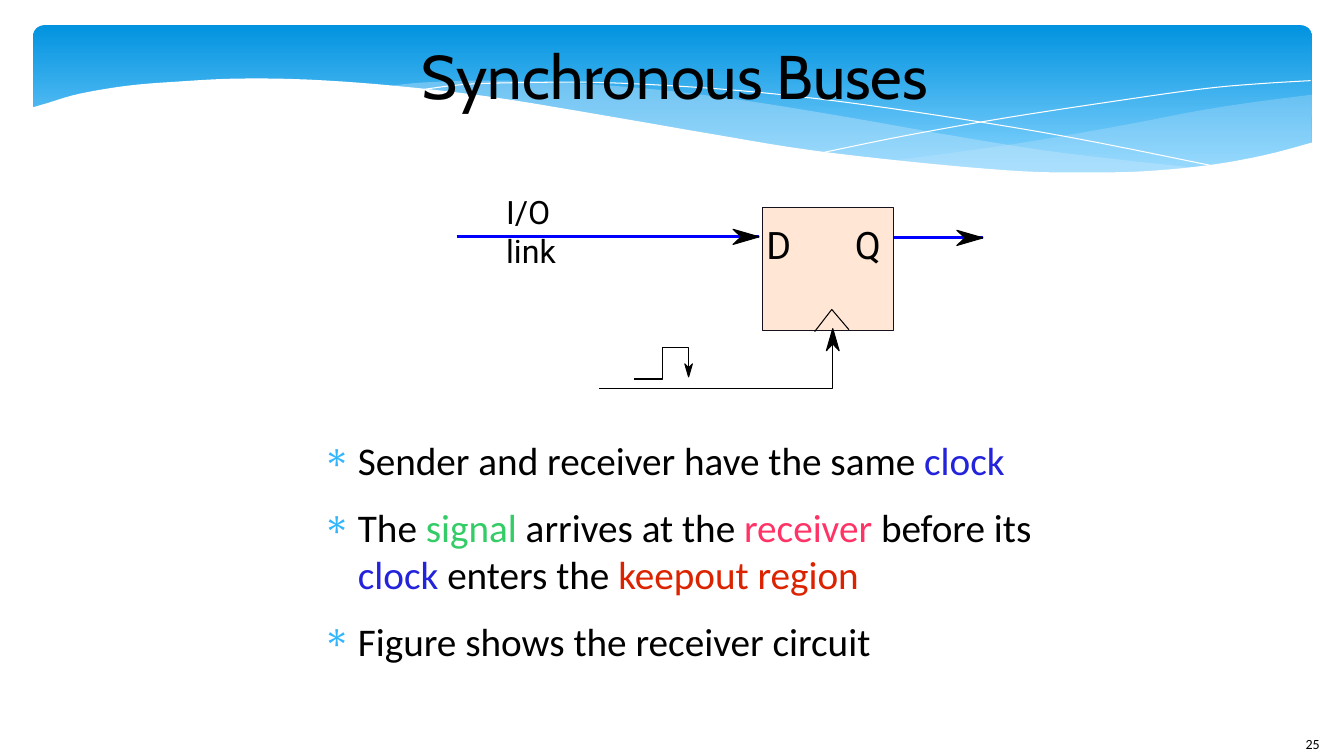
from pptx import Presentation
from pptx import util as u
from pptx.dml.color import RGBColor
from pptx.enum import shapes, text
from pptx.oxml import ns, xmlchemy

BLACK = RGBColor(0, 0, 0)
WHITE = RGBColor(255, 255, 255)
SKY_DARK = RGBColor(0x02, 0x93, 0xE0)
SKY_LIGHT = RGBColor(0x83, 0xD3, 0xFE)
MIST = RGBColor(0xC6, 0xE7, 0xFC)
BULLET = RGBColor(0x31, 0xB6, 0xFD)
PEACH = RGBColor(0xFF, 0xE6, 0xD5)
INK = RGBColor(0x15, 0x11, 0x1D)
SIGNAL_BLUE = RGBColor(0, 0, 255)
CLOCK = RGBColor(0x23, 0x23, 0xDC)
GREEN = RGBColor(0x33, 0xCC, 0x66)
PINK = RGBColor(0xFF, 0x33, 0x66)
RED = RGBColor(0xDC, 0x23, 0x00)

RIGHT, UP, DOWN = (1, 0), (0, -1), (0, 1)

BACK_WAVE = [(13.01, 0.94), (12.46, 1.01), (11.88, 1.1), (11.1, 1.25), (10.05, 1.43), (8.82, 1.6)]
BACK_EDGE = [(8.82, 1.6), (9.58, 1.67), (10.25, 1.71), (10.85, 1.72), (11.51, 1.7),
             (12.07, 1.63), (12.57, 1.54), (13.01, 1.42)]
FRONT_TOP = [(11.9, 1.67), (11.16, 1.59), (10.34, 1.49), (9.41, 1.34), (8.39, 1.16), (7.4, 1.0),
             (6.52, 0.89), (5.6, 0.82), (4.82, 0.8), (4.18, 0.82), (3.82, 0.86)]
FRONT_EDGE = [(3.82, 0.86), (4.56, 0.94), (5.39, 1.06), (6.54, 1.26), (7.55, 1.43), (8.46, 1.56),
              (9.26, 1.65), (9.98, 1.7), (10.76, 1.73), (11.43, 1.71), (11.9, 1.67)]
FALLING_LINE = [(4.12, 0.9), (4.58, 0.84), (5.16, 0.82), (6, 0.82), (7.1, 0.88), (8.11, 0.98),
                (9.27, 1.14), (10.6, 1.36), (12.1, 1.66)]
RISING_LINE = [(8.18, 1.51), (8.96, 1.35), (9.97, 1.17), (11.15, 0.99), (11.94, 0.88),
               (12.5, 0.83), (13, 0.8)]
WHITE_WAVE = [(13.03, 1.41), (12.54, 1.54), (11.98, 1.64), (11.34, 1.7), (10.78, 1.71),
              (10.15, 1.7), (9.18, 1.62), (8.04, 1.49), (7.06, 1.33), (5.96, 1.14), (4.86, 0.96),
              (3.9, 0.85), (3.06, 0.79), (2.35, 0.78), (1.76, 0.81), (1.27, 0.85), (0.79, 0.93),
              (0.48, 1.02), (0.31, 1.07)]


def smooth(points, steps=5):
    padded = [points[0], *points, points[-1]]
    curve = [points[0]]
    for a, b, c, d in zip(padded, padded[1:], padded[2:], padded[3:]):
        for step in range(1, steps + 1):
            t = step / steps
            curve.append(tuple(
                0.5 * (2 * q + (r - p) * t + (2 * p - 5 * q + 4 * r - s) * t ** 2
                       + (3 * q - p - 3 * r + s) * t ** 3)
                for p, q, r, s in zip(a, b, c, d)))
    return curve


def apply(target, values):
    for name, value in values.items():
        setattr(target, name, value)


def add_xml(parent, tag, **attributes):
    element = xmlchemy.OxmlElement(tag)
    for name, value in attributes.items():
        element.set(name, value)
    parent.append(element)
    return element


class SlideBuilder:
    frame = {"margin_left": 0, "margin_right": 0, "margin_top": 0, "margin_bottom": 0}

    def __init__(self, deck):
        self.page = deck.slides.add_slide(deck.slide_layouts[6])

    def paint(self, shape, fill=None, line=None, opacity=None):
        shape.shadow.inherit = False
        if fill is None:
            shape.fill.background()
        else:
            shape.fill.solid()
            shape.fill.fore_color.rgb = fill
            if opacity:
                solid = shape._element.spPr.find(ns.qn("a:solidFill"))
                add_xml(solid[0], "a:alpha", val=str(opacity * 1000))
        self.stroke(shape, line)

    def stroke(self, shape, line):
        if line is None:
            shape.line.fill.background()
        else:
            shape.line.color.rgb = line
            shape.line.width = 0

    def preset(self, kind, bounds, fill=None, line=None):
        shape = self.page.shapes.add_shape(kind, *map(u.Inches, bounds))
        self.paint(shape, fill, line)
        return shape

    def banner(self, bounds):
        shape = self.preset(shapes.MSO_SHAPE.ROUNDED_RECTANGLE, bounds)
        shape.adjustments[0] = 0.07
        shape.fill.gradient()
        shape.fill.gradient_angle = 270
        stops = zip(shape.fill.gradient_stops, (0, 0.9), (SKY_DARK, SKY_LIGHT))
        for stop, position, colour in stops:
            stop.position = position
            stop.color.rgb = colour

    def outline(self, points, fill=None, line=None, opacity=None):
        corners = [(u.Inches(x), u.Inches(y)) for x, y in points]
        builder = self.page.shapes.build_freeform(*corners[0])
        builder.add_line_segments(corners[1:], close=fill is not None)
        self.paint(builder.convert_to_shape(), fill, line, opacity)

    def wire(self, start, end, colour):
        ends = map(u.Inches, (*start, *end))
        line = self.page.shapes.add_connector(shapes.MSO_CONNECTOR.STRAIGHT, *ends)
        self.stroke(line, colour)
        add_xml(line._element.spPr, "a:effectLst")

    def arrowhead(self, tip, direction, length):
        dx, dy = direction
        marks = [(0.69, 0), (1, 0.29), (0, 0), (1, -0.29)]
        self.outline([(tip[0] - length * (dx * back + dy * side),
                       tip[1] - length * (dy * back - dx * side))
                      for back, side in marks], BLACK, BLACK)

    def label(self, bounds, paragraphs, font, size, frame=None, layout=None, bullet=None):
        box = self.page.shapes.add_textbox(*map(u.Inches, bounds))
        apply(box.text_frame, {**self.frame, "word_wrap": False, **(frame or {})})
        for index, spans in enumerate(paragraphs):
            para = box.text_frame.paragraphs[0] if index == 0 else box.text_frame.add_paragraph()
            apply(para, layout or {})
            if bullet:
                self.bullet(para, bullet)
            for words, colour in spans:
                span = para.add_run()
                span.text = words
                apply(span.font, {"name": font, "size": u.Pt(size)})
                span.font.color.rgb = colour

    def bullet(self, para, symbol):
        properties = para._p.get_or_add_pPr()
        properties.set("marL", str(u.Inches(0.47)))
        properties.set("indent", str(u.Inches(-0.35)))
        add_xml(add_xml(properties, "a:buClr"), "a:srgbClr", val=str(BULLET))
        add_xml(properties, "a:buChar", char=symbol)


def main():
    deck = Presentation()
    apply(deck, {"slide_width": u.Inches(13.33), "slide_height": u.Inches(7.5)})
    slide = SlideBuilder(deck)

    slide.banner((0.33, 0.25, 12.68, 1.56))
    slide.outline(smooth(BACK_WAVE) + smooth(BACK_EDGE), MIST, opacity=29)
    slide.outline(smooth(FRONT_TOP) + smooth(FRONT_EDGE), MIST, opacity=40)
    for curve in (FALLING_LINE, RISING_LINE):
        slide.outline(smooth(curve), line=WHITE)
    slide.outline(smooth(WHITE_WAVE) + [(0.31, 2.24), (13.03, 2.24)], WHITE)

    slide.label((12.95, 7.3, 0.3, 0.2), [[("25", BLACK)]], "Calibri", 10)
    slide.label((2.64, 0.23, 8.11, 1.02), [[("Synchronous Buses", BLACK)]], "Cabin", 44,
                {"word_wrap": True, "vertical_anchor": text.MSO_ANCHOR.MIDDLE},
                {"alignment": text.PP_ALIGN.CENTER})
    slide.label((3.08, 4.33, 8, 2.36), [
        [("Sender and receiver have the same ", BLACK), ("clock", CLOCK)],
        [("The ", BLACK), ("signal", GREEN), (" arrives at the ", BLACK), ("receiver", PINK),
         (" before its ", BLACK), ("clock", CLOCK), (" enters the ", BLACK),
         ("keepout region", RED)],
        [("Figure shows the receiver circuit", BLACK)],
    ], "Calibri", 28, {"word_wrap": True}, {"space_after": u.Pt(14.1)}, "∗")

    slide.preset(shapes.MSO_SHAPE.RECTANGLE, (7.56, 2.06, 1.3, 1.22), PEACH, INK)
    for start, end in (((4.53, 2.35), (7.53, 2.35)), ((8.87, 2.36), (9.75, 2.36))):
        slide.wire(start, end, SIGNAL_BLUE)
        slide.arrowhead(end, RIGHT, 0.26)
    for pin, left in (("D", 7.6), ("Q", 8.48)):
        slide.label((left, 2.2, 0.25, 0.45), [[(pin, BLACK)]], "Roboto", 27)
    slide.label((5.02, 1.91, 0.8, 0.78), [[("I/O link", BLACK)]], "Roboto", 23,
                {"word_wrap": True})

    clock_notch = [(8.08, 3.29), (8.25, 3.07), (8.42, 3.27)]
    clock_wire = [(5.94, 3.85), (8.26, 3.85), (8.26, 3.3)]
    clock_pulse = [(6.29, 3.76), (6.57, 3.76), (6.57, 3.45), (6.83, 3.45), (6.83, 3.73)]
    for trace in (clock_notch, clock_wire, clock_pulse):
        slide.outline(trace, line=BLACK)
    slide.arrowhead((8.26, 3.26), UP, 0.22)
    slide.arrowhead((6.83, 3.74), DOWN, 0.13)

    deck.save("out.pptx")


if __name__ == "__main__":
    main()
